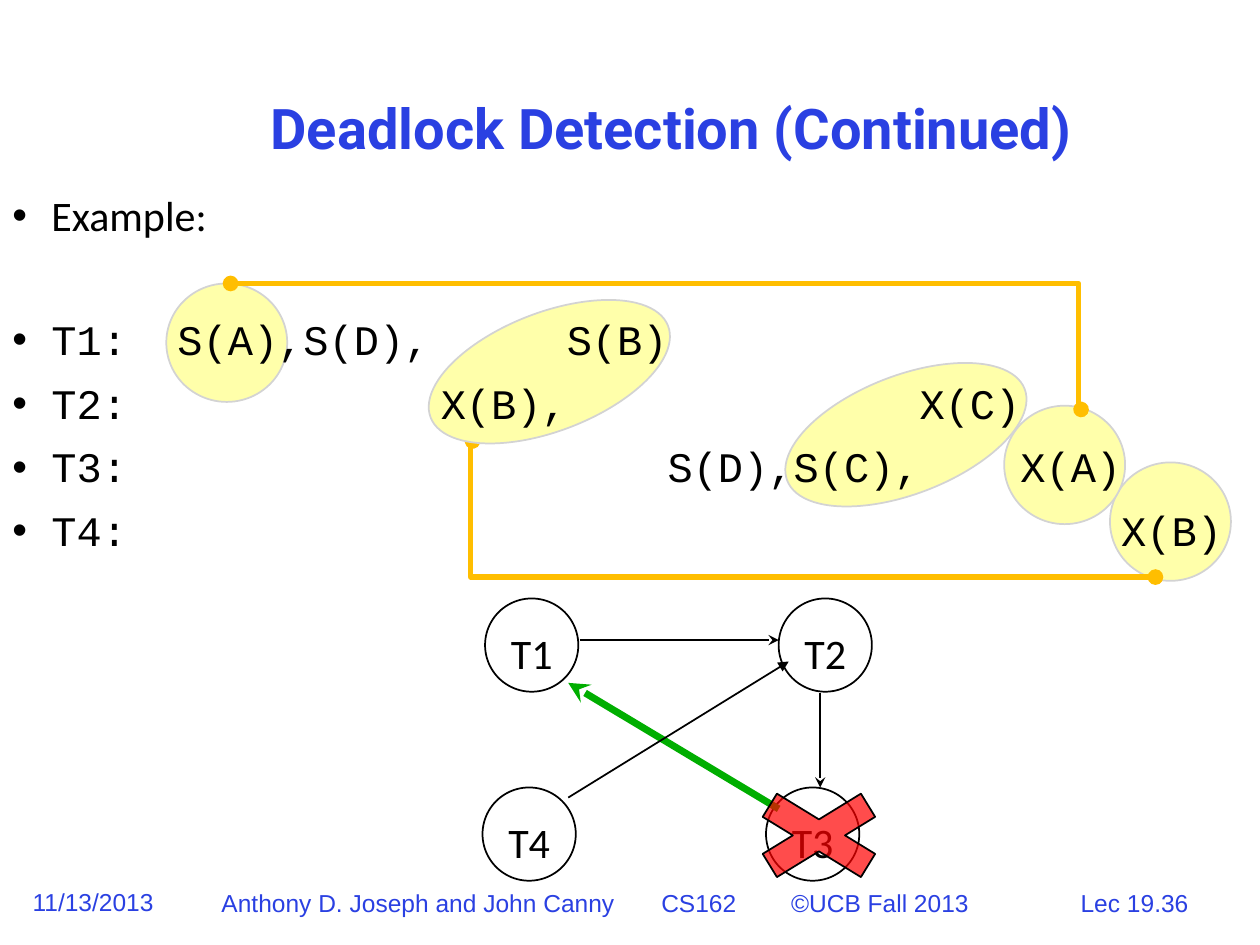
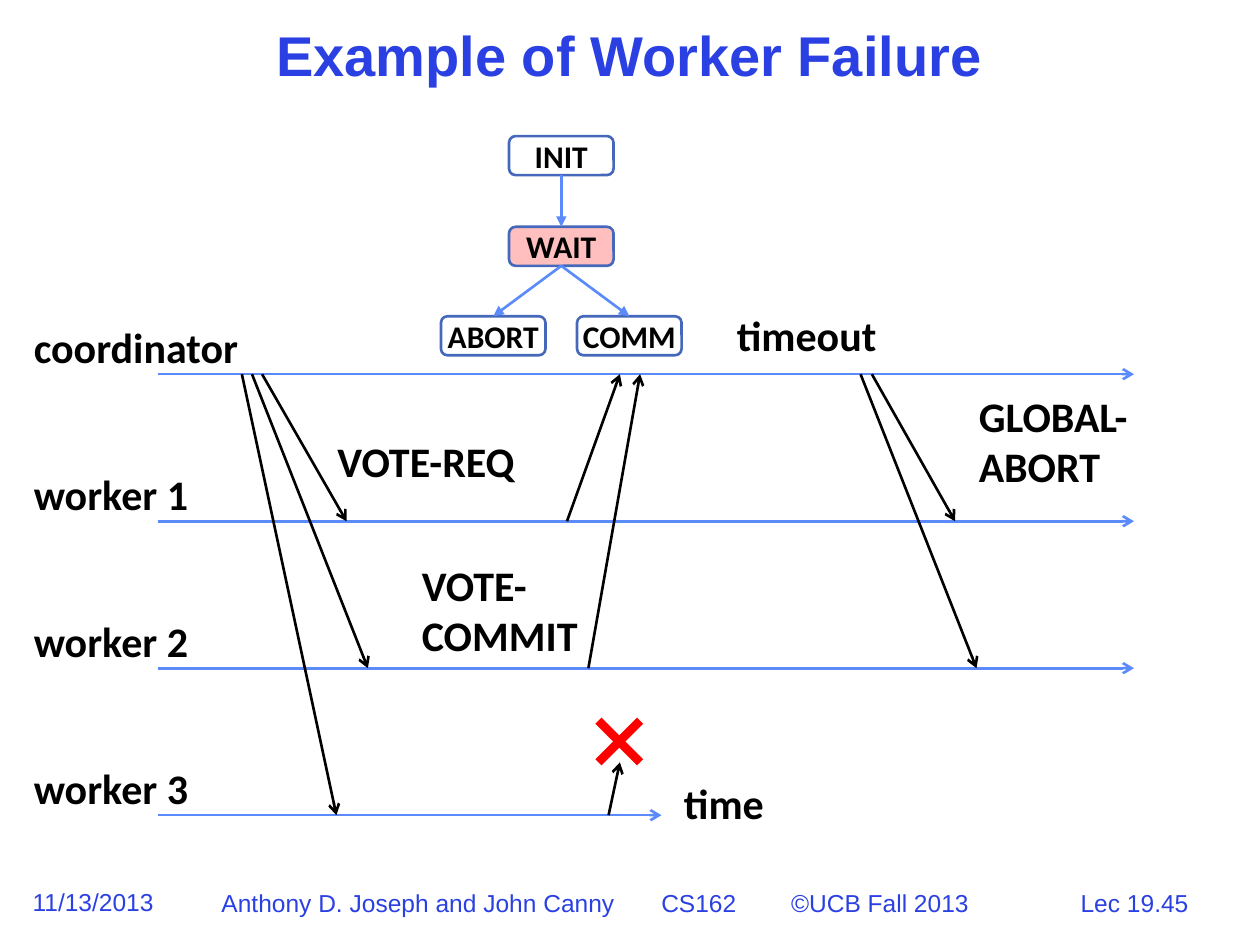
from dataclasses import dataclass
from typing import NamedTuple

from lxml import etree
from pptx import Presentation
from pptx.dml.color import RGBColor
from pptx.enum.shapes import MSO_CONNECTOR, MSO_SHAPE
from pptx.enum.text import MSO_ANCHOR, PP_ALIGN
from pptx.oxml.ns import qn
from pptx.util import Inches, Pt

STRAIGHT, ELBOW = MSO_CONNECTOR.STRAIGHT, MSO_CONNECTOR.ELBOW
OVAL, ROUNDED, CROSS = MSO_SHAPE.OVAL, MSO_SHAPE.ROUNDED_RECTANGLE, MSO_SHAPE.MATH_MULTIPLY
LEFT, CENTER = PP_ALIGN.LEFT, PP_ALIGN.CENTER
MIDDLE = MSO_ANCHOR.MIDDLE
TOP_SIDE, BOTTOM_SIDE = 0, 2


@dataclass(frozen=True)
class Theme:
    blue: str = "2A40E2"
    black: str = "000000"
    red: str = "FF0000"
    green: str = "00AE00"
    amber: str = "FFBE00"
    highlight: str = "FFFFAA"
    highlight_edge: str = "D3D3D3"
    timeline: str = "5B8AFB"
    state_edge: str = "4568BA"
    sans: str = "Arial"
    body: str = "Calibri"
    code: str = "Courier New"
    title_size: int = 32
    body_size: int = 24
    state_size: int = 18
    footer_size: int = 14


THEME = Theme()


class Box(NamedTuple):
    left: float
    top: float
    width: float
    height: float


class Highlight(NamedTuple):
    box: Box
    rotation: float = 0


class Transaction(NamedTuple):
    name: str
    left: float
    top: float


class Edge(NamedTuple):
    start: tuple[float, float]
    end: tuple[float, float]
    color: str = THEME.black
    width: float = 1
    head: str = ""
    tail: str = ""


class Step(NamedTuple):
    """One schedule row: operations and the tab stop each one starts at."""
    name: str
    operations: tuple[str, ...]
    stops: tuple[float, ...]


class Lane(NamedTuple):
    name: str
    end: float


class Message(NamedTuple):
    start: float
    sender: int
    end: float
    receiver: int


class Label(NamedTuple):
    text: str
    box: Box


class State(NamedTuple):
    name: str
    left: float
    top: float
    active: bool = False


def rgb(color: str) -> RGBColor:
    return RGBColor.from_string(color)


def emu(box: Box) -> list[int]:
    return [Inches(value) for value in box]


def add_run(paragraph, text: str, size: int, font: str, color: str, bold: bool = False) -> None:
    run = paragraph.add_run()
    run.text = text
    run.font.size, run.font.name, run.font.bold = Pt(size), font, bold
    run.font.color.rgb = rgb(color)


def add_tabs(paragraph, stops: tuple[float, ...]) -> None:
    tabs = etree.SubElement(paragraph._p.get_or_add_pPr(), qn("a:tabLst"))
    for stop in stops:
        etree.SubElement(tabs, qn("a:tab"), pos=str(Inches(stop)), algn="l")


def add_bullet(paragraph) -> None:
    props = paragraph._p.get_or_add_pPr()
    props.set("marL", str(Inches(0.31)))
    props.set("indent", str(-Inches(0.31)))
    etree.SubElement(props, qn("a:buFont"), typeface=THEME.sans)
    etree.SubElement(props, qn("a:buChar"), char="•")


def add_text_box(slide, box: Box, wrap: bool = True):
    frame = slide.shapes.add_textbox(*emu(box)).text_frame
    frame.word_wrap = wrap
    return frame


def add_title(slide, text: str, box: Box, font: str) -> None:
    title = slide.shapes.title
    title.left, title.top, title.width, title.height = emu(box)
    title.text_frame.vertical_anchor = MIDDLE
    paragraph = title.text_frame.paragraphs[0]
    paragraph.alignment, paragraph.line_spacing = CENTER, 0.9
    add_run(paragraph, text, THEME.title_size, font, THEME.blue, True)


def add_footer(slide, page: str) -> None:
    fields = (
        (page, Box(8.14, 7, 1.73, 0.33), CENTER, ()),
        ("11/13/2013", Box(0.16, 6.99, 1.18, 0.33), LEFT, ()),
        ("Anthony D. Joseph and John Canny\tCS162\t©UCB Fall 2013",
         Box(1.66, 7, 6.14, 0.33), LEFT, (3.49, 4.52)),
    )
    for text, box, alignment, stops in fields:
        paragraph = add_text_box(slide, box).paragraphs[0]
        paragraph.alignment = alignment
        if stops:
            add_tabs(paragraph, stops)
        add_run(paragraph, text, THEME.footer_size, THEME.sans, THEME.blue)


def add_figure(slide, preset, box: Box, edge: str, width: float = 1,
               fill: str = "", opacity: int = 100):
    figure = slide.shapes.add_shape(preset, *emu(box))
    figure.shadow.inherit = False
    figure.line.color.rgb, figure.line.width = rgb(edge), Pt(width)
    if not fill:
        figure.fill.background()
        return figure
    figure.fill.solid()
    figure.fill.fore_color.rgb = rgb(fill)
    if opacity < 100:
        color = figure._element.spPr.find(f".//{qn('a:srgbClr')}")
        etree.SubElement(color, qn("a:alpha"), val=str(opacity * 1000))
    return figure


def add_caption(figure, text: str, size: int, bold: bool = False, drop: float = 0) -> None:
    """Centre text in a figure, with a top inset of drop inches."""
    frame = figure.text_frame
    frame.margin_left = frame.margin_right = frame.margin_bottom = 0
    frame.margin_top = Inches(drop)
    frame.word_wrap, frame.vertical_anchor = False, MIDDLE
    frame.paragraphs[0].alignment = CENTER
    add_run(frame.paragraphs[0], text, size, THEME.body, THEME.black, bold)


def add_edge(slide, edge: Edge, bend: float | None = None):
    """Draw a straight edge, or an elbow that turns at the share bend of its width."""
    kind = STRAIGHT if bend is None else ELBOW
    connector = slide.shapes.add_connector(kind, *emu((*edge.start, *edge.end)))
    connector.line.color.rgb, connector.line.width = rgb(edge.color), Pt(edge.width)
    props = connector._element.spPr
    if bend is not None:
        guides = props.find(qn("a:prstGeom")).get_or_add_avLst()
        etree.SubElement(guides, qn("a:gd"), name="adj1", fmla=f"val {round(bend * 100000)}")
    line = connector.line._get_or_add_ln()
    for tag, kind_of_end in (("a:headEnd", edge.head), ("a:tailEnd", edge.tail)):
        if kind_of_end:
            etree.SubElement(line, qn(tag), type=kind_of_end)
    etree.SubElement(props, qn("a:effectLst"))
    return connector


def add_highlight(slide, highlight: Highlight) -> None:
    figure = add_figure(slide, OVAL, highlight.box, THEME.highlight_edge, fill=THEME.highlight)
    figure.rotation = highlight.rotation


def add_lock_wait(slide, start: tuple[float, float], end: tuple[float, float], bend: float) -> None:
    add_edge(slide, Edge(start, end, THEME.amber, 3, "oval", "oval"), bend)


def add_schedule(slide, steps: tuple[Step, ...]) -> None:
    frame = add_text_box(slide, Box(0, 1.5, 10, 3.08))
    heading = frame.paragraphs[0]
    add_bullet(heading)
    heading.line_spacing = 0.9
    add_run(heading, "Example:", THEME.body_size, THEME.body, THEME.black)
    for index, step in enumerate(steps):
        row = frame.add_paragraph()
        add_bullet(row)
        add_tabs(row, step.stops)
        row.line_spacing, row.space_before = 0.9, Pt(10.4 if index else 45)
        text = "\t".join((f"{step.name}:", *step.operations))
        add_run(row, text, THEME.body_size, THEME.code, THEME.black)


def build_deadlock_slide(slide) -> None:
    add_title(slide, "Deadlock Detection (Continued)", Box(1.08, 0.42, 8.5, 1.25), "Roboto")
    add_highlight(slide, Highlight(Box(8.81, 3.67, 0.96, 0.94)))
    add_lock_wait(slide, (3.75, 3.5), (9.17, 4.58), -0.003)
    for left, top in ((1.32, 2.25), (7.97, 3.22)):
        add_highlight(slide, Highlight(Box(left, top, 0.96, 0.94)))
    add_lock_wait(slide, (1.83, 2.25), (8.58, 3.25), 0.997)
    for left, top in ((6.72, 2.44), (3.89, 1.94)):
        add_highlight(slide, Highlight(Box(left, top, 0.94, 2.02), 68.9))

    add_schedule(slide, (
        Step("T1", ("S(A),S(D),", "S(B)"), (1.31, 4.4)),
        Step("T2", ("X(B),", "X(C)"), (3.4, 7.2)),
        Step("T3", ("S(D),S(C),", "X(A)"), (5.2, 8)),
        Step("T4", ("X(B)",), (8.8,)),
    ))

    for node in (Transaction("T1", 3.85, 4.75), Transaction("T2", 6.18, 4.75),
                 Transaction("T4", 3.83, 6.25), Transaction("T3", 6.08, 6.25)):
        circle = add_figure(slide, OVAL, Box(node.left, node.top, 0.74, 0.74), THEME.black)
        add_caption(circle, node.name, THEME.body_size, drop=0.12)
    for edge in (
        Edge((4.6, 5.08), (6.18, 5.08), tail="stealth"),
        Edge((6.51, 5.5), (6.51, 6.25), tail="stealth"),
        Edge((6.18, 6.42), (4.51, 5.42), THEME.green, 4, tail="stealth"),
        Edge((4.51, 6.33), (6.26, 5.25), tail="triangle"),
    ):
        add_edge(slide, edge)
    add_figure(slide, CROSS, Box(5.75, 6.17, 1.5, 0.92), THEME.black, fill=THEME.red, opacity=70)


def lane_y(index: int) -> float:
    return 2.97 + index * 3.5 / 3


def add_label(slide, label: Label) -> None:
    paragraph = add_text_box(slide, label.box).paragraphs[0]
    add_run(paragraph, label.text, THEME.body_size, THEME.body, THEME.black, True)


def add_state_machine(slide) -> None:
    width, height = 0.83, 0.31
    states = {}
    for state in (State("INIT", 4.04, 1.08), State("WAIT", 4.04, 1.8, True),
                  State("ABORT", 3.5, 2.51), State("COMM", 4.58, 2.51)):
        figure = add_figure(slide, ROUNDED, Box(state.left, state.top, width, height),
                            THEME.state_edge, 1.5, THEME.red if state.active else "", 25)
        add_caption(figure, state.name, THEME.state_size, True)
        states[state.name] = figure
    for source, target in (("INIT", "WAIT"), ("WAIT", "ABORT"), ("WAIT", "COMM")):
        transition = add_edge(slide, Edge((0, 0), (1, 1), THEME.timeline, 1.5, tail="triangle"))
        transition.begin_connect(states[source], BOTTOM_SIDE)
        transition.end_connect(states[target], TOP_SIDE)


def build_failure_slide(slide) -> None:
    add_title(slide, "Example of Worker Failure", Box(1.08, 0.17, 7.83, 0.58), THEME.sans)
    lanes = (Lane("coordinator", 9), Lane("worker 1", 9), Lane("worker 2", 9), Lane("worker 3", 5.25))
    for index, lane in enumerate(lanes):
        y = lane_y(index)
        add_edge(slide, Edge((1.25, y), (lane.end, y), THEME.timeline, 1.5, tail="arrow"))
        add_label(slide, Label(lane.name, Box(0.17, y - 0.47, 2, 0.5)))

    for message in (
        Message(2.08, 0, 2.75, 1), Message(2, 0, 2.92, 2), Message(1.92, 0, 2.67, 3),
        Message(4.5, 1, 4.92, 0), Message(4.67, 2, 5.08, 0),
        Message(6.92, 0, 7.58, 1), Message(6.83, 0, 7.75, 2),
    ):
        add_edge(slide, Edge((message.start, lane_y(message.sender)),
                             (message.end, lane_y(message.receiver)), width=1.5, tail="arrow"))
    add_edge(slide, Edge((4.83, lane_y(3)), (4.92, 6.05), width=1.5, tail="arrow"))
    for start, end in ((4.75, 5.08), (5.08, 4.75)):
        add_edge(slide, Edge((start, 5.72), (end, 6.05), THEME.red, 5))

    for label in (
        Label("VOTE-REQ", Box(2.58, 3.41, 1.75, 0.5)),
        Label("VOTE-COMMIT", Box(3.25, 4.39, 1.83, 0.9)),
        Label("GLOBAL-ABORT", Box(7.67, 3.05, 2, 0.9)),
        Label("timeout", Box(5.75, 2.41, 2, 0.5)),
        Label("time", Box(5.33, 6.12, 0.92, 0.5)),
    ):
        add_label(slide, label)
    add_state_machine(slide)


def main() -> None:
    deck = Presentation()
    deck.slide_width, deck.slide_height = Inches(10), Inches(7.5)
    title_only = deck.slide_layouts[5]
    for build, page in ((build_deadlock_slide, "Lec 19.36"), (build_failure_slide, "Lec 19.45")):
        slide = deck.slides.add_slide(title_only)
        add_footer(slide, page)
        build(slide)
    deck.save("out.pptx")


if __name__ == "__main__":
    main()
